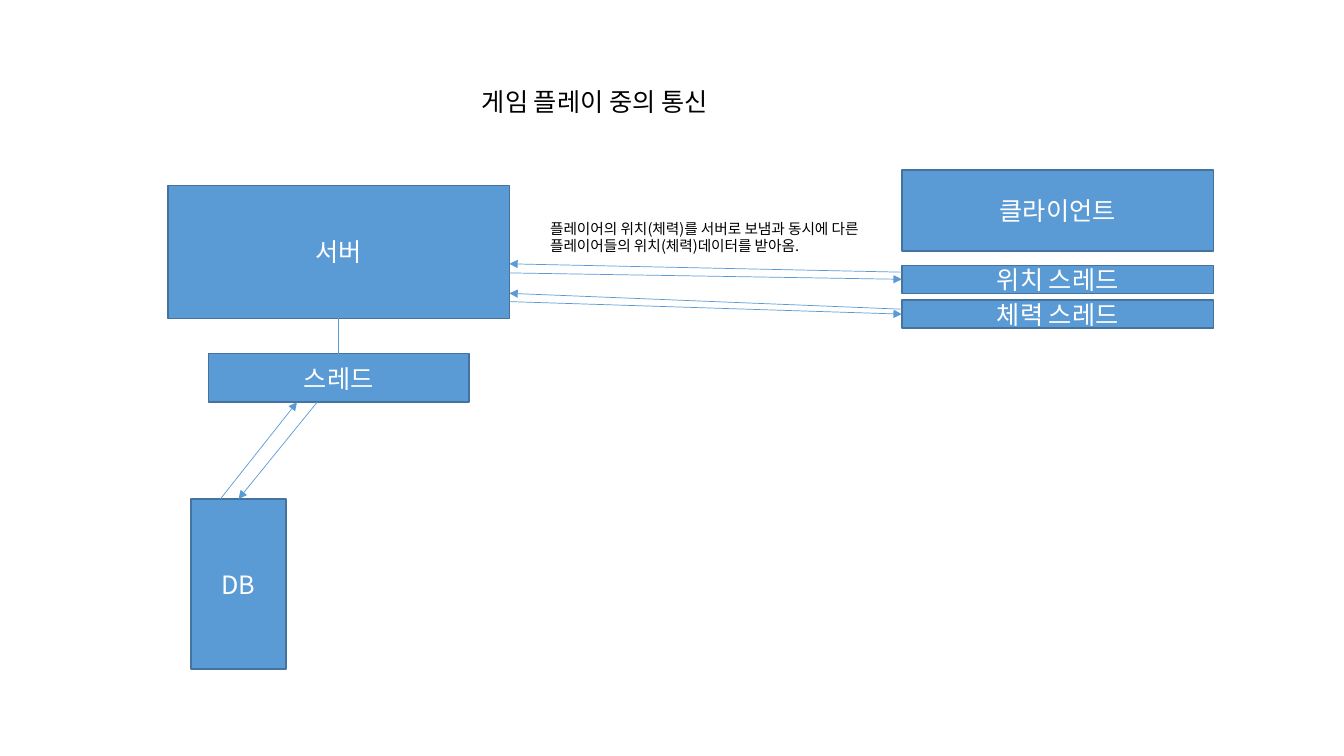
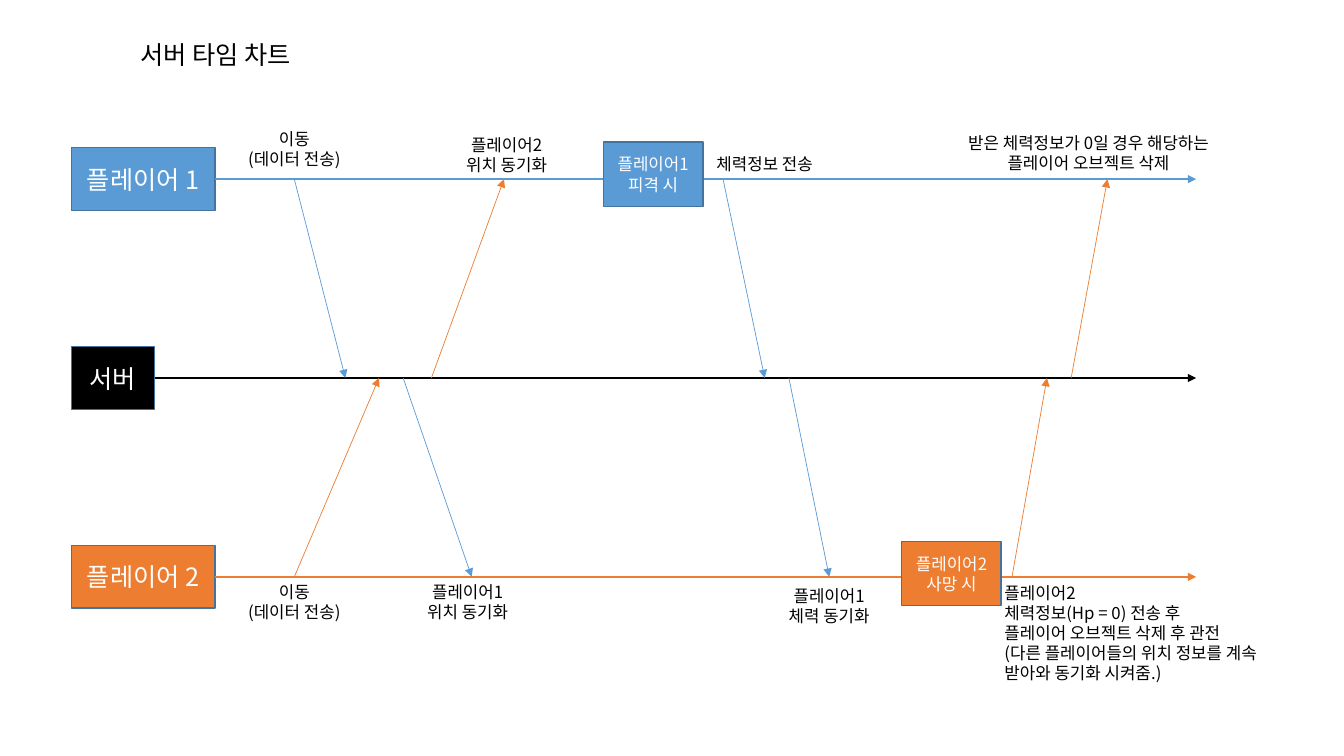
from dataclasses import dataclass

from lxml import etree
from pptx import Presentation
from pptx.dml.color import RGBColor
from pptx.enum.shapes import MSO_CONNECTOR as Connector, MSO_SHAPE as Shape
from pptx.enum.text import MSO_ANCHOR as Anchor, MSO_AUTO_SIZE as AutoSize, PP_ALIGN as Align
from pptx.oxml.ns import qn
from pptx.util import Inches, Pt


@dataclass(frozen=True)
class Theme:
    font: str = "Noto Sans CJK KR"
    blue: str = "5B9BD5"
    orange: str = "ED7D31"
    outline: str = "43739E"
    black: str = "000000"
    white: str = "FFFFFF"
    heading: float = 18
    label: float = 12
    note: float = 10.5
    thin: float = 0.5
    normal: float = 1


THEME = Theme()
WIDTH, HEIGHT = Inches(13.333), Inches(7.5)
TOP, LEFT, BOTTOM, RIGHT = range(4)


def across(share):
    """Length of a percentage of the slide's width."""
    return round(WIDTH * share / 100)


def down(share):
    """Length of a percentage of the slide's height."""
    return round(HEIGHT * share / 100)


def area(left, top, width, height):
    return across(left), down(top), across(width), down(height)


def add_span(para, text, size, color):
    span = para.add_run()
    span.text = text
    span.font.name = THEME.font
    span.font.size = Pt(size)
    span.font.color.rgb = RGBColor.from_string(color)
    east_asian = etree.SubElement(span.font._element, qn("a:ea"))
    east_asian.set("typeface", THEME.font)


def write(shape, text, size, color, align, anchor=Anchor.TOP):
    """Fill a shape with text: a newline starts a paragraph, a vertical tab breaks the line."""
    frame = shape.text_frame
    frame.word_wrap = True
    frame.auto_size = AutoSize.NONE
    frame.vertical_anchor = anchor
    for index, line in enumerate(text.split("\n")):
        para = frame.add_paragraph() if index else frame.paragraphs[0]
        para.alignment = align
        for part_index, part in enumerate(line.split("\v")):
            if part_index:
                para.add_line_break()
            add_span(para, part, size, color)


def add_page(deck, title, left, top):
    page = deck.slides.add_slide(deck.slide_layouts.get_by_name("Title Only"))
    heading = page.shapes.title
    heading.left, heading.top, heading.width, heading.height = area(left, top, 38.6, 5.4)
    write(heading, title, THEME.heading, THEME.black, Align.LEFT)
    return page


def add_box(page, text, place, fill=THEME.blue, size=THEME.heading):
    box = page.shapes.add_shape(Shape.RECTANGLE, *area(*place))
    box.shadow.inherit = False
    box.fill.solid()
    box.fill.fore_color.rgb = RGBColor.from_string(fill)
    box.line.color.rgb = RGBColor.from_string(THEME.outline)
    box.line.width = Pt(THEME.normal)
    write(box, text, size, THEME.white, Align.CENTER, Anchor.MIDDLE)
    return box


def add_label(page, text, place, size=THEME.label, align=Align.CENTER):
    label = page.shapes.add_textbox(*area(*place))
    write(label, text, size, THEME.black, align)


def add_link(page, start, end, color=THEME.blue, width=THEME.thin, arrow=True):
    """Draw a line; each end is an (x, y) point in percent or a (box, side) pair."""
    points = [(0, 0) if hasattr(x, "shape_id") else (across(x), down(y))
              for x, y in (start, end)]
    link = page.shapes.add_connector(Connector.STRAIGHT, *points[0], *points[1])
    for (target, side), join in ((start, link.begin_connect), (end, link.end_connect)):
        if hasattr(target, "shape_id"):
            join(target, side)
    link.line.color.rgb = RGBColor.from_string(color)
    link.line.width = Pt(width)
    properties = link._element.spPr
    if arrow:
        tail = etree.SubElement(properties.find(qn("a:ln")), qn("a:tailEnd"))
        tail.set("type", "triangle")
    etree.SubElement(properties, qn("a:effectLst"))


def add_communication_page(deck):
    page = add_page(deck, "게임 플레이 중의 통신", 35.1, 10.8)
    server = add_box(page, "서버", (12.5, 24.5, 25.4, 17.6))
    thread = add_box(page, "스레드", (15.5, 46.8, 19.4, 6.4))
    database = add_box(page, "DB", (14.2, 66, 7.1, 22.5))
    add_link(page, (server, BOTTOM), (thread, TOP), arrow=False)
    add_link(page, (23.6, 53.2), (database, TOP))
    add_link(page, (16.4, 66), (22.1, 53.2))

    client_left, client_width, server_right = 67.1, 23.2, 37.9
    add_box(page, "클라이언트", (client_left, 22.5, client_width, 10.7))
    # name, top of the box, height where data leaves, arrives and returns at the server
    for name, top, leave, arrive, reply in (
        ("위치 스레드", 35.1, 36, 34.9, 36.1),
        ("체력 스레드", 39.7, 40.9, 38.8, 39.9),
    ):
        box = add_box(page, name, (client_left, top, client_width, 3.7))
        add_link(page, (client_left, leave), (server_right, arrive))
        add_link(page, (server_right, reply), (box, LEFT))
    add_label(page, "플레이어의 위치(체력)를 서버로 보냄과 동시에 다른 "
              "플레이어들의 위치(체력)데이터를 받아옴.",
              (40.2, 28.4, 26.9, 6), THEME.note, Align.LEFT)


def add_time_chart_page(deck):
    page = add_page(deck, "서버 타임 차트", 9.7, 4.5)
    first, server, second = lanes = [50 + step * 26.3 for step in (-1, 0, 1)]
    box_height = 8.3
    for lane, name, width, color in zip(
        lanes, ("플레이어 1", "서버", "플레이어 2"), (10.7, 6.2, 10.7),
        (THEME.blue, THEME.black, THEME.orange),
    ):
        box = add_box(page, name, (5.3, lane - box_height / 2, width, box_height), color)
        add_link(page, (box, RIGHT), (89, lane), color, THEME.normal)

    for color, start, start_lane, end, end_lane in (
        (THEME.blue, 21.9, first, 25.7, server),
        (THEME.blue, 30, server, 35.1, second),
        (THEME.orange, 21.9, second, 28.2, server),
        (THEME.orange, 32.1, server, 37.5, first),
        (THEME.blue, 53.8, first, 56.9, server),
        (THEME.blue, 58.7, server, 61.7, second),
        (THEME.orange, 75.3, second, 77.9, server),
        (THEME.orange, 79.7, server, 82.4, first),
    ):
        add_link(page, (start, start_lane), (end, end_lane), color)

    for text, left, top, color in (
        ("플레이어1\v피격 시", 44.9, 18.8, THEME.blue),
        ("플레이어2\v사망 시", 67.1, 71.6, THEME.orange),
    ):
        add_box(page, text, (left, top, 7.4, 8.5), color, THEME.label)

    for text, left, top in (
        ("이동\n(데이터 전송)", 17.4, 16.4),
        ("이동\n(데이터 전송)", 17.4, second),
        ("플레이어2\n위치 동기화", 33.2, 17.1),
        ("플레이어1\n위치 동기화", 30.3, second),
        ("플레이어1\n체력 동기화", 57.2, 76.8),
    ):
        add_label(page, text, (left, top, 9, 6.7))
    add_label(page, "체력정보 전송", (52, 19.7, 9.8, 4))
    add_label(page, "받은 체력정보가 0일 경우 해당하는 플레이어 오브젝트 삭제",
              (71.3, 16.9, 19.4, 6.7))
    add_label(page, "플레이어2\n체력정보(Hp = 0) 전송 후\n플레이어 오브젝트 삭제 후 관전\n"
              "(다른 플레이어들의 위치 정보를 계속 받아와 동기화 시켜줌.)",
              (74, 76.4, 23, 14.8), align=Align.LEFT)


def main():
    deck = Presentation()
    deck.slide_width, deck.slide_height = WIDTH, HEIGHT
    add_communication_page(deck)
    add_time_chart_page(deck)
    deck.save("out.pptx")


if __name__ == "__main__":
    main()
